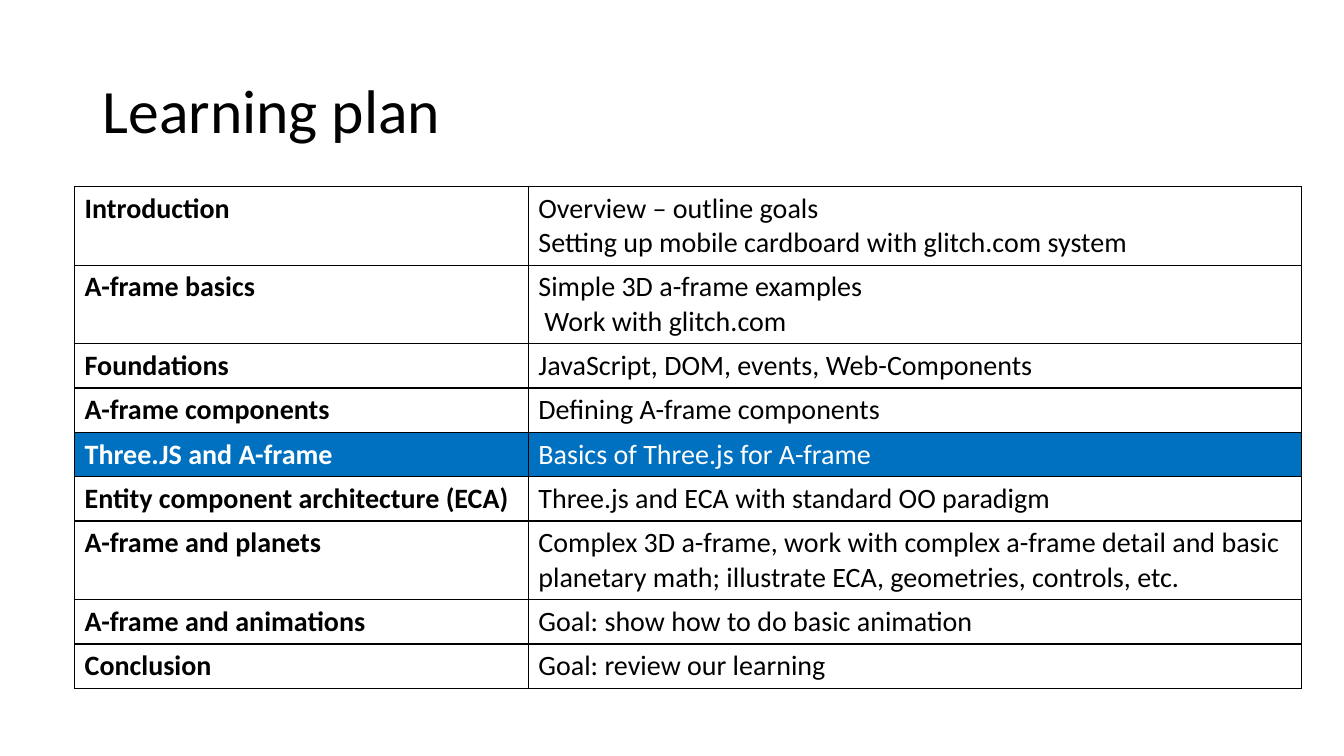
from lxml import etree
from pptx import Presentation
from pptx.dml.color import RGBColor
from pptx.enum import text
from pptx.oxml import ns
from pptx.util import Inches, Pt

TITLE = "Learning plan"
PLAN = [
    ("Introduction", ["Overview – outline goals",
                      "Setting up mobile cardboard with glitch.com system"]),
    ("A-frame basics", ["Simple 3D a-frame examples", "Work with glitch.com"]),
    ("Foundations", ["JavaScript, DOM, events, Web-Components"]),
    ("A-frame components", ["Defining A-frame components"]),
    ("Three.JS and A-frame", ["Basics of Three.js for A-frame"]),
    ("Entity component architecture (ECA)",
     ["Three.js and ECA with standard OO paradigm"]),
    ("A-frame and planets",
     ["Complex 3D a-frame, work with complex a-frame detail and basic "
      "planetary math; illustrate ECA, geometries, controls, etc."]),
    ("A-frame and animations", ["Goal: show how to do basic animation"]),
    ("Conclusion", ["Goal: review our learning"]),
]
CURRENT_TOPIC = "Three.JS and A-frame"
INDENTED = "Work with glitch.com"
COLUMN_WIDTHS = (4.5, 7.67)
ONE_LINE, TWO_LINES = 0.44, 0.78
WRAP_AT = 80  # characters that fit on one line of the right column
BLACK, WHITE, BLUE = "000000", "FFFFFF", "0070C0"


def color(value):
    return RGBColor.from_string(value)


def write(p, words, size=20, bold=False, fill=BLACK, indent=0):
    if indent:
        p._p.get_or_add_pPr().set("marL", str(Inches(indent)))
    r = p.add_run()
    r.text = words
    r.font.name = "Calibri"
    r.font.size = Pt(size)
    r.font.bold = bold
    r.font.color.rgb = color(fill)


def add_borders(cell):
    tcPr = cell._tc.get_or_add_tcPr()
    for i, side in enumerate(("lnL", "lnR", "lnT", "lnB")):
        ln = etree.Element(ns.qn(f"a:{side}"), w=str(Pt(1)))
        fill = etree.SubElement(ln, ns.qn("a:solidFill"))
        etree.SubElement(fill, ns.qn("a:srgbClr"), val=BLACK)
        tcPr.insert(i, ln)


def fill_cell(cell, lines, bold, current):
    if current:
        cell.fill.solid()
        cell.fill.fore_color.rgb = color(BLUE)
    else:
        cell.fill.background()
    add_borders(cell)
    tf = cell.text_frame
    for i, line in enumerate(lines):
        p = tf.add_paragraph() if i else tf.paragraphs[0]
        write(p, line, bold=bold, fill=WHITE if current else BLACK,
              indent=0.06 if line == INDENTED else 0)


def row_height(lines):
    return TWO_LINES if len(lines) > 1 or len(lines[0]) > WRAP_AT else ONE_LINE


prs = Presentation()
prs.slide_width, prs.slide_height = Inches(13.33), Inches(7.5)
s = prs.slides.add_slide(prs.slide_layouts[6])

tf = s.shapes.add_textbox(Inches(0.92), Inches(0.4),
                          Inches(11.5), Inches(1.45)).text_frame
tf.word_wrap = True
tf.vertical_anchor = text.MSO_ANCHOR.MIDDLE
tf.paragraphs[0].line_spacing = 0.9
write(tf.paragraphs[0], TITLE, size=44)

heights = [row_height(lines) for _, lines in PLAN]
table = s.shapes.add_table(len(PLAN), len(COLUMN_WIDTHS), Inches(0.74), Inches(1.85),
                           Inches(sum(COLUMN_WIDTHS)), Inches(sum(heights))).table
table.first_row = table.horz_banding = False
for column, width in zip(table.columns, COLUMN_WIDTHS):
    column.width = Inches(width)
for row, height, (topic, lines) in zip(table.rows, heights, PLAN):
    row.height = Inches(height)
    current = topic == CURRENT_TOPIC
    fill_cell(row.cells[0], [topic], True, current)
    fill_cell(row.cells[1], lines, False, current)

prs.save("out.pptx")
